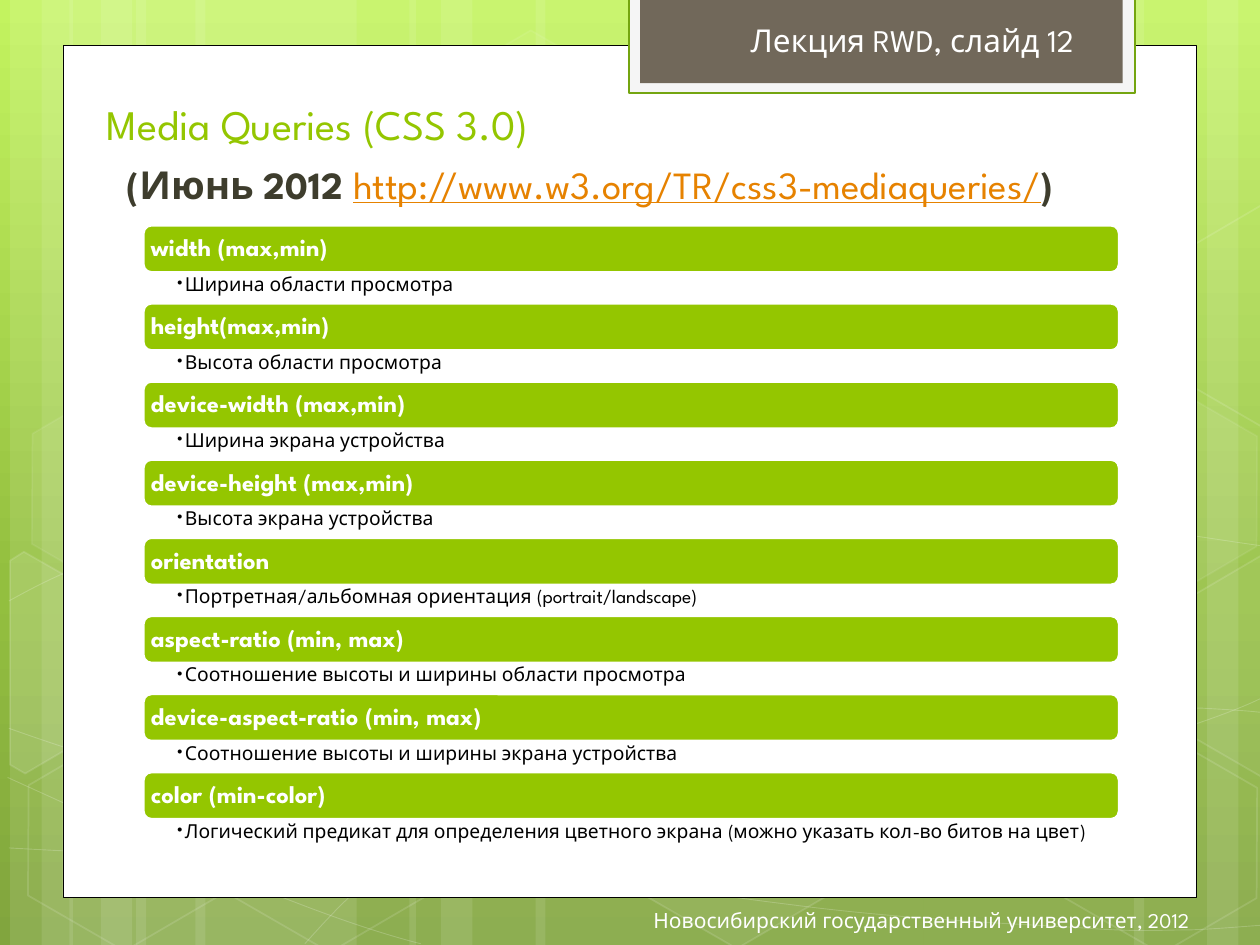
from lxml import etree
from pptx import Presentation
from pptx.dml.color import RGBColor
from pptx.enum.shapes import MSO_SHAPE
from pptx.enum.text import MSO_ANCHOR, PP_ALIGN
from pptx.oxml.ns import qn
from pptx.util import Inches, Pt

RECT, ROUND, HEX = MSO_SHAPE.RECTANGLE, MSO_SHAPE.ROUNDED_RECTANGLE, MSO_SHAPE.HEXAGON
TOP, MID, LOW = MSO_ANCHOR.TOP, MSO_ANCHOR.MIDDLE, MSO_ANCHOR.BOTTOM
LEFT, RIGHT = PP_ALIGN.LEFT, PP_ALIGN.RIGHT
FONT = "League Spartan"
WHITE, LIME, DARK = "FFFFFF", "94C600", "3E3D2D"

# Grid: 10 columns by 7.5 rows of square cells
deck = Presentation()
deck.slide_width, deck.slide_height = Inches(10), Inches(7.5)
CELL = deck.slide_width // 10
slide = deck.slides.add_slide(deck.slide_layouts[6])
shapes = slide.shapes


def paint(shape, fill=None, fade=100, line=None, width=1, mist=100):
    """Set fill and line; fade and mist are their opacities in percent."""
    shape.shadow.inherit = False
    if fill:
        shape.fill.solid()
        shape.fill.fore_color.rgb = RGBColor.from_string(fill)
    else:
        shape.fill.background()
    if line:
        shape.line.color.rgb = RGBColor.from_string(line)
        shape.line.width = Pt(width)
    else:
        shape.line.fill.background()
    props = shape._element.spPr
    for route, share in (("a:solidFill", fade), ("a:ln", mist)):
        part = props.find(qn(route))
        if part is not None and share < 100:
            for color in part.iter(qn("a:srgbClr")):
                etree.SubElement(color, qn("a:alpha"), val=str(share * 1000))


def write(shape, runs, size, pad=(0.1, 0.05, 0.1, 0.05), anchor=TOP,
          align=LEFT, inset=0, hang=0, space=1.0, mark=None):
    """Fill one paragraph with runs of (text, color, bold, underline)."""
    frame = shape.text_frame
    frame.word_wrap = True
    frame.vertical_anchor = anchor
    (frame.margin_left, frame.margin_top,
     frame.margin_right, frame.margin_bottom) = [int(v * CELL) for v in pad]
    para = frame.paragraphs[0]
    para.alignment, para.line_spacing = align, space
    props = para._p.get_or_add_pPr()
    props.set("marL", str(int(inset * CELL)))
    props.set("indent", str(int(hang * CELL)))
    if mark:
        etree.SubElement(props, qn("a:buFont"), typeface=FONT)
        etree.SubElement(props, qn("a:buChar"), char=mark)
    for words, color, bold, under in runs:
        run = para.add_run()
        run.text = words
        font = run.font
        font.name, font.size = FONT, Pt(size)
        font.bold, font.underline = bold, under
        font.color.rgb = RGBColor.from_string(color)


# Background gradient, top to bottom
back = slide.background.fill
back.gradient()
back.gradient_angle = 270
stops = slide._element.find(".//" + qn("a:gsLst"))
for stop in list(stops):
    stops.remove(stop)
for pos, color in ((0, "C3F35F"), (62, "93BF3F"), (100, "81A53E")):
    stop = etree.SubElement(stops, qn("a:gs"), pos=str(pos * 1000))
    etree.SubElement(stop, qn("a:srgbClr"), val=color)

# Pale full-height stripes: left, width
stripes = [(1.08, 1.75), (0.08, 0.5), (0.33, 0.83), (1.55, 1.75), (0.55, 0.5),
           (0.8, 0.83), (7.33, 1.75), (9.58, 0.5), (9, 0.83), (4.25, 3.08),
           (3.25, 0.5), (3.5, 0.83)]
for x, w in stripes:
    stripe = shapes.add_shape(RECT, int(x * CELL), 0, int(w * CELL), deck.slide_height)
    paint(stripe, WHITE, 10)

# Thin waves: a start point, then three points for each Bezier piece
waves = [
    [(0.07, 6.73), (0.61, 6.76), (1.15, 6.79), (1.9, 6.78), (2.65, 6.77),
     (3.58, 6.75), (4.58, 6.65), (5.58, 6.55), (7, 6.36), (7.92, 6.17),
     (8.83, 5.98), (9.77, 5.68), (10.07, 5.51)],
    [(0.07, 4.77), (0.36, 4.61), (0.65, 4.46), (1.21, 4.31), (1.78, 4.16),
     (2.59, 3.94), (3.47, 3.87), (4.36, 3.8), (5.44, 3.79), (6.54, 3.87),
     (7.64, 3.95), (9.47, 4.26), (10.07, 4.34)],
    [(0.06, 6.17), (1.27, 6.72), (2.47, 7.27), (3.34, 7.49)],
    [(0.07, 5.78), (0.38, 5.89), (0.7, 6), (1.28, 6.16), (1.86, 6.31),
     (2.73, 6.56), (3.57, 6.73), (4.4, 6.9), (5.45, 7.08), (6.28, 7.18),
     (7.11, 7.29), (8, 7.33), (8.53, 7.36), (9.05, 7.4), (9.19, 7.38),
     (9.45, 7.38), (9.71, 7.37), (9.89, 7.35), (10.07, 7.34)],
    [(2.42, 7.49), (2.6, 7.29), (2.78, 7.09), (3.02, 6.91), (3.26, 6.73),
     (3.6, 6.53), (3.88, 6.39), (4.16, 6.25), (4.33, 6.19), (4.7, 6.09),
     (5.06, 5.99), (5.73, 5.85), (6.08, 5.78), (6.44, 5.71), (6.49, 5.71),
     (6.8, 5.69), (7.11, 5.66), (7.6, 5.63), (7.94, 5.62), (8.29, 5.61),
     (8.86, 5.62), (8.86, 5.62), (9.08, 5.62), (9.31, 5.62), (9.53, 5.62),
     (9.71, 5.63), (9.88, 5.64), (9.97, 5.65), (10.06, 5.66),
     (10.03, 5.65), (10.06, 5.66)],
]
for wave in waves:
    dots = [(x * CELL, y * CELL) for x, y in wave]
    path = shapes.build_freeform(*dots[0])
    path.add_line_segments(dots[1:], close=False)
    curve = path.convert_to_shape()
    paint(curve, line=WHITE, width=0.5, mist=20)
    # Join each three line ends into one Bezier piece
    track = curve._element.find(".//" + qn("a:path"))
    ends = track.findall(qn("a:lnTo"))
    for i in range(0, len(ends), 3):
        piece = etree.SubElement(track, qn("a:cubicBezTo"))
        for end in ends[i:i + 3]:
            piece.append(end[0])
            track.remove(end)

# Hexagons: left, top, fill opacity, line opacity
cells = [(3.34, 0.36, 4, 8), (4.97, 5.89, 6, 12), (0.11, 5.91, 0, 12),
         (0.14, 3.12, 7, 8), (1.74, 5.92, 0, 12), (7.53, 4.53, 10, 12),
         (8.34, 5.93, 0, 12), (8.34, 3.14, 7, 8)]
for x, y, fade, mist in cells:
    cell = shapes.add_shape(HEX, *[int(v * CELL) for v in (x, y, 1.75, 1.52)])
    cell.adjustments[0] = 0.285
    cell.rotation = 30
    paint(cell, WHITE if fade else None, fade, WHITE, 1, mist)

# Hexagons cut by the slide's edges
cuts = [
    (10, [(0.08, 4.45), (0.19, 4.38), (0.96, 4.82), (0.95, 5.7), (0.2, 6.14), (0.08, 6.07)]),
    (4, [(9.26, 4.85), (10.01, 4.41), (10.09, 4.46), (10.09, 6.13), (10.02, 6.17), (9.26, 5.73)]),
    (0, [(9.26, 2.07), (10.01, 1.63), (10.1, 1.68), (10.09, 3.35), (10.02, 3.39), (9.26, 2.95)]),
]
for fade, spots in cuts:
    dots = [(x * CELL, y * CELL) for x, y in spots]
    path = shapes.build_freeform(*dots[0])
    path.add_line_segments(dots[1:], close=True)
    paint(path.convert_to_shape(), WHITE if fade else None, fade, WHITE, 1, 12)

# White page and header tab
panels = [((0.5, 0.36, 9, 6.76), WHITE, "000000", 0.5),
          ((4.99, -0.02, 4.02, 0.76), "F5F5F5", "74A510", 1.25),
          ((5.08, -0.02, 3.83, 0.68), "71685A", None, 0)]
for at, fill, line, width in panels:
    panel = shapes.add_shape(RECT, *[int(v * CELL) for v in at])
    paint(panel, fill, line=line, width=width)

# Title, header, footer and subtitle
texts = [
    ((0.75, 0.6, 8.5, 0.63), 24, LOW, LEFT, 0,
     [("Media Queries (CSS 3.0)", LIME, False, False)]),
    ((5.86, 0.12, 3.03, 0.4), 18, TOP, LEFT, 0,
     [("Лекция RWD, слайд 12", WHITE, False, False)]),
    ((3.11, 7.1, 6.43, 0.4), 12, MID, RIGHT, 0,
     [("Новосибирский государственный университет, 2012", WHITE, False, False)]),
    ((0.51, 1.23, 8.9, 4.57), 22, TOP, LEFT, 0.4,
     [("(Июнь 2012 ", DARK, True, False),
      ("http://www.w3.org/TR/css3-mediaqueries/", "E68200", False, True),
      (")", DARK, True, False)]),
]
for at, size, anchor, align, inset, runs in texts:
    box = shapes.add_textbox(*[int(v * CELL) for v in at])
    write(box, runs, size, anchor=anchor, align=align, inset=inset)

# Media features: a green bar with a bullet below, at an even pitch
items = [
    ("width (max,min)", "Ширина области просмотра"),
    ("height(max,min)", "Высота области просмотра"),
    ("device-width (max,min)", "Ширина экрана устройства"),
    ("device-height (max,min)", "Высота экрана устройства"),
    ("orientation", "Портретная/альбомная ориентация (portrait/landscape)"),
    ("aspect-ratio (min, max)", "Соотношение высоты и ширины области просмотра"),
    ("device-aspect-ratio (min, max)", "Соотношение высоты и ширины экрана устройства"),
    ("color (min-color)", "Логический предикат для определения цветного экрана "
                          "(можно указать кол-во битов на цвет)"),
]
X, Y, WIDE, BAR, NOTE = 1.14, 1.79, 7.74, 0.37, 0.25
for row, (name, note) in enumerate(items):
    y = Y + row * (BAR + NOTE)
    bar = shapes.add_shape(ROUND, *[int(v * CELL) for v in (X, y, WIDE, BAR)])
    paint(bar, LIME, line=WHITE, width=1.25)
    write(bar, [(name, WHITE, True, False)], 14, (0.04,) * 4, MID, space=0.9)
    box = shapes.add_textbox(*[int(v * CELL) for v in (X, y + BAR, WIDE, NOTE)])
    write(box, [(note, "000000", False, False)], 11, (0.25, 0.02, 0.11, 0.02),
          inset=0.06, hang=-0.06, space=0.9, mark="•")

deck.save("out.pptx")
